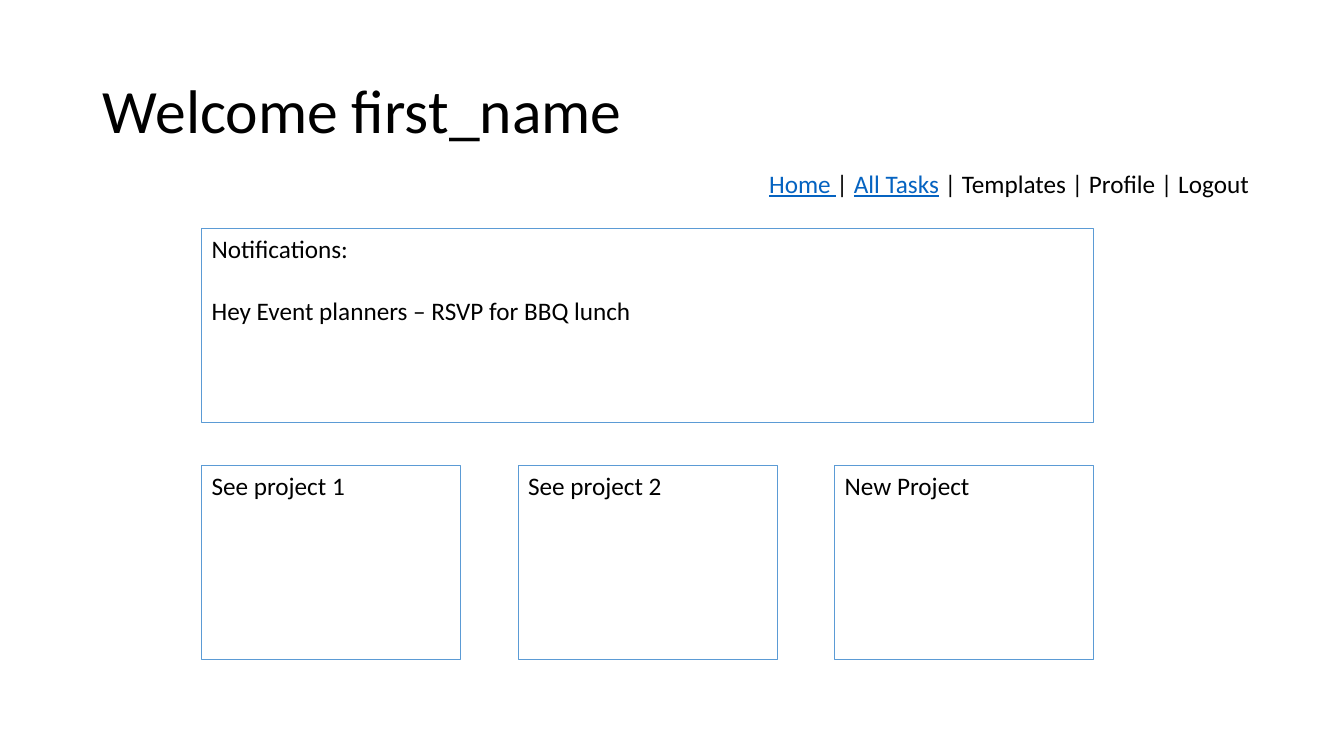
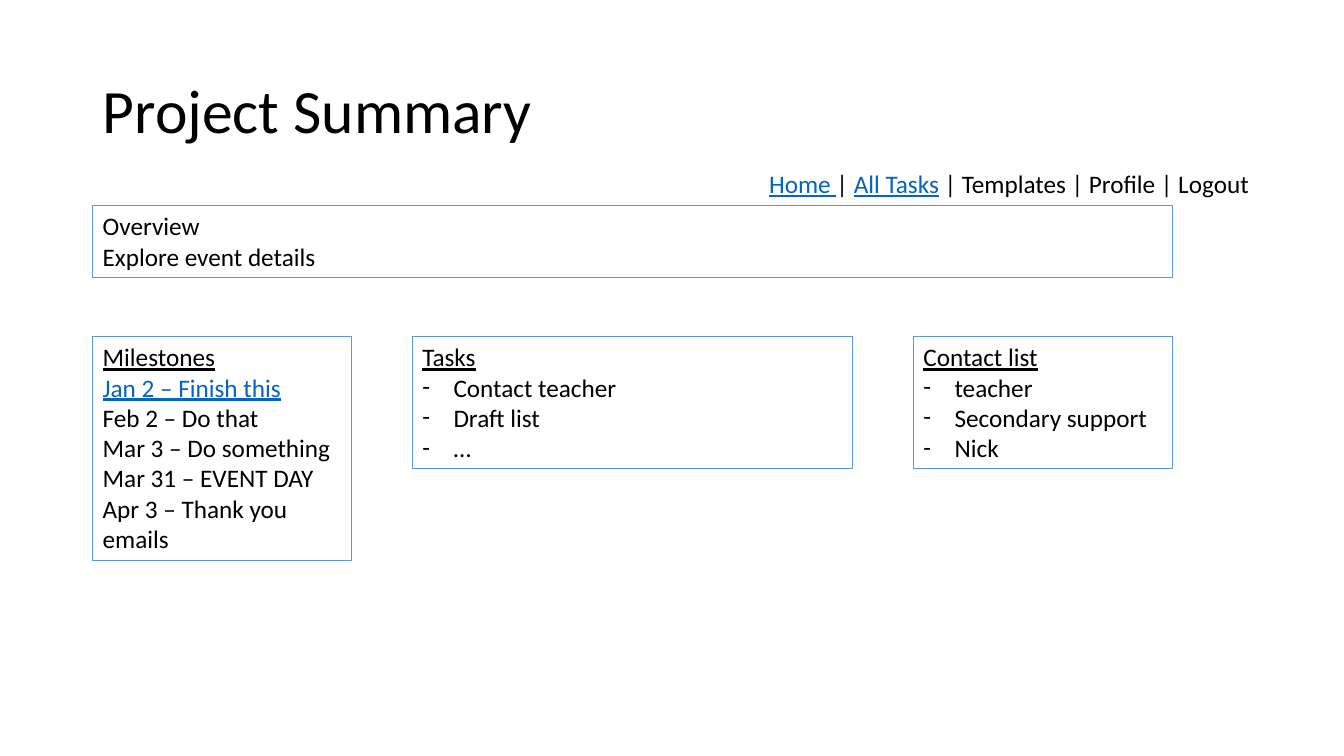
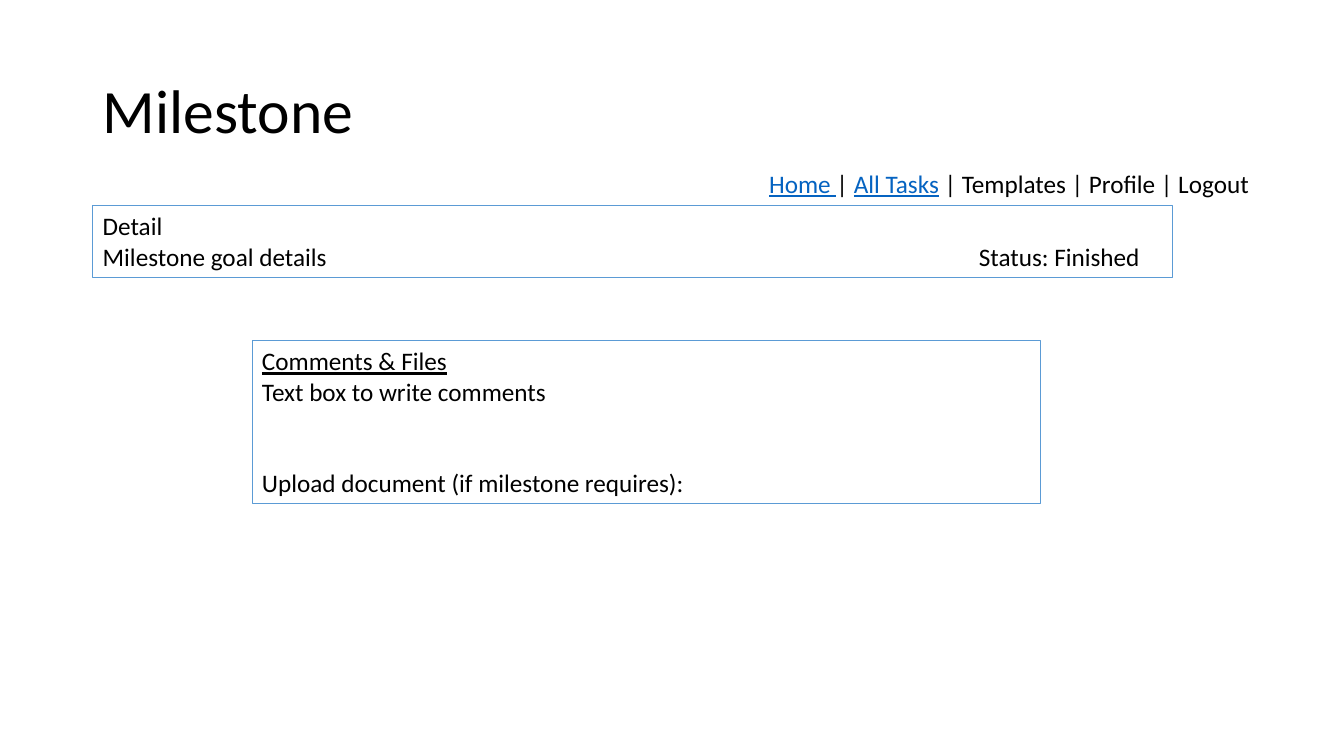
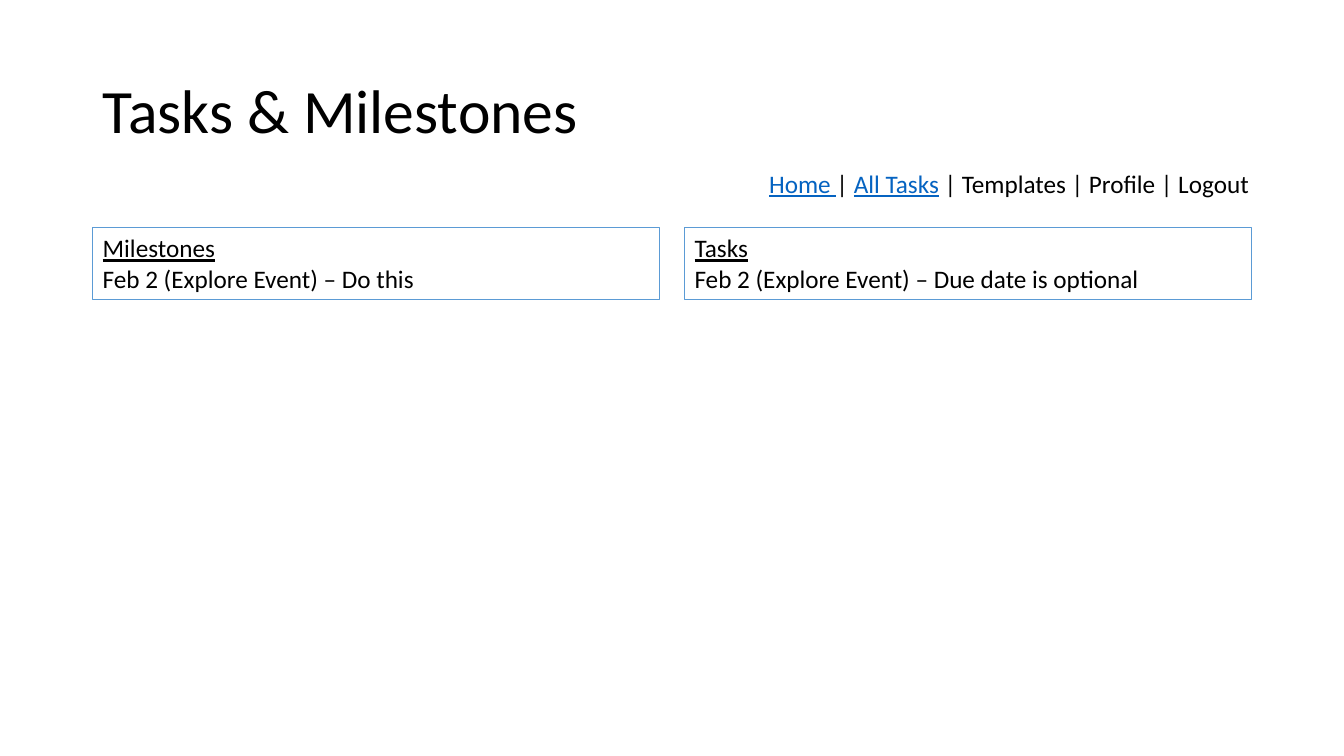
"""Build four wireframe slides for an event planning site."""
from lxml import etree
from pptx import Presentation
from pptx import util as u
from pptx.dml.color import RGBColor
from pptx.enum import shapes, text
from pptx.oxml.ns import qn

COLORS = {"text": "000000", "link": "0563C1", "border": "5B9BD5"}
FONT = "Calibri"
BODY_SIZE, TITLE_SIZE, LINE_HEIGHT = 18, 44, 22
DASH_INDENT = u.Inches(0.31)
STATUS_TAB = u.Inches(8.69)
MARGIN = 0.92

NAV = [("Home ", "link"), ("| ", "plain"), ("All Tasks", "link"),
       (" | Templates | Profile | Logout", "plain")]

# Each row is (left, top, height, gap, panels); each panel is (width, lines, options).
SLIDES = [
    {"title": "Welcome first_name", "rows": [
        {"left": 2, "top": 2.27, "gap": 0, "panels": [
            (8.85, 1.92, [("Notifications:", "plain"),
                          ("Hey Event planners – RSVP for BBQ lunch", "plain", 1)])]},
        {"left": 2, "top": 4.62, "gap": 0.57, "panels": [
            (2.57, 1.92, [(name, "plain")])
            for name in ("See project 1", "See project 2", "New Project")]},
    ]},
    {"title": "Project Summary", "rows": [
        {"left": MARGIN, "top": 2.04, "gap": 0, "panels": [
            (10.71, 0.71, [("Overview", "plain"), ("Explore event details", "plain")])]},
        {"left": MARGIN, "top": 3.34, "gap": 0.6, "panels": [
            (2.57, 2.22, [("Milestones", "head"), ("Jan 2 – Finish this", "link"),
                          ("Feb 2 – Do that", "plain"), ("Mar 3 – Do something", "plain"),
                          ("Mar 31 – EVENT DAY", "plain"),
                          ("Apr 3 – Thank you emails", "plain")]),
            (4.37, 1.31, [("Tasks", "head"), ("Contact teacher", "dash"),
                          ("Draft list", "dash"), ("…", "dash")]),
            (2.57, 1.31, [("Contact list", "head"), ("teacher", "dash"),
                          ("Secondary support", "dash"), ("Nick", "dash")])]},
    ]},
    {"title": "Milestone", "rows": [
        {"left": MARGIN, "top": 2.04, "gap": 0, "panels": [
            (10.71, 0.71, [("Detail", "plain"),
                           ("Milestone goal details\tStatus: Finished", "tabbed")])]},
        {"left": 2.5, "top": 3.38, "gap": 0, "panels": [
            (7.82, 1.62, [("Comments & Files", "head"),
                          ("Text box to write comments", "plain"),
                          ("Upload document (if milestone requires):", "plain", 2)])]},
    ]},
    {"title": "Tasks & Milestones", "rows": [
        {"left": MARGIN, "top": 2.26, "gap": 0.25, "panels": [
            (5.62, 0.71, [("Milestones", "head"),
                          ("Feb 2 (Explore Event) – Do this", "plain")]),
            (5.62, 0.71, [("Tasks", "head"),
                          ("Feb 2 (Explore Event) – Due date is optional", "plain")])]},
    ]},
]


def color(name):
    return RGBColor.from_string(COLORS[name])


def add_run(p, words, style="plain", size=BODY_SIZE):
    r = p.add_run()
    r.text = words
    r.font.name, r.font.size = FONT, u.Pt(size)
    r.font.color.rgb = color("link" if style == "link" else "text")
    if style in ("head", "link"):
        r.font.underline = True


def add_dash(p):
    pPr = p._p.get_or_add_pPr()
    pPr.set("marL", str(DASH_INDENT))
    pPr.set("indent", str(-DASH_INDENT))
    etree.SubElement(pPr, qn("a:buFont"), typeface=FONT)
    etree.SubElement(pPr, qn("a:buChar"), char="-")


def add_tab(p):
    tabs = etree.SubElement(p._p.get_or_add_pPr(), qn("a:tabLst"))
    etree.SubElement(tabs, qn("a:tab"), pos=str(STATUS_TAB), algn="l")


def add_line(p, words, style, skipped=0):
    p.alignment = text.PP_ALIGN.LEFT
    if skipped:
        p.space_before = u.Pt(skipped * LINE_HEIGHT)
    if style == "dash":
        add_dash(p)
    elif style == "tabbed":
        add_tab(p)
    add_run(p, words, style)


def add_panel(s, left, top, width, height, lines):
    sp = s.shapes.add_shape(shapes.MSO_SHAPE.RECTANGLE, *map(u.Inches, (left, top, width, height)))
    sp.shadow.inherit = False
    sp.fill.background()
    sp.line.color.rgb = color("border")
    sp.line.width = u.Pt(0.75)
    tf = sp.text_frame
    tf.word_wrap = True
    tf.vertical_anchor = text.MSO_ANCHOR.TOP
    for i, line in enumerate(lines):
        add_line(tf.add_paragraph() if i else tf.paragraphs[0], *line)


def add_row(s, left, top, gap, panels):
    for width, height, lines in panels:
        add_panel(s, left, top, width, height, lines)
        left += width + gap


def add_title(s, words):
    sp = s.shapes.title
    sp.left, sp.top, sp.width, sp.height = map(u.Inches, (MARGIN, 0.4, 11.5, 1.45))
    tf = sp.text_frame
    tf.vertical_anchor = text.MSO_ANCHOR.MIDDLE
    p = tf.paragraphs[0]
    p.alignment = text.PP_ALIGN.LEFT
    p.line_spacing = 0.9
    add_run(p, words, size=TITLE_SIZE)


def add_nav(s):
    tf = s.shapes.add_textbox(*map(u.Inches, (7.53, 1.62, 5.34, 0.4))).text_frame
    tf.word_wrap = True
    for words, style in NAV:
        add_run(tf.paragraphs[0], words, style)


def main():
    prs = Presentation()
    prs.slide_width, prs.slide_height = u.Inches(13.33), u.Inches(7.5)
    for page in SLIDES:
        s = prs.slides.add_slide(prs.slide_layouts[5])
        add_title(s, page["title"])
        for row in page["rows"]:
            add_row(s, **row)
        add_nav(s)
    prs.save("out.pptx")


if __name__ == "__main__":
    main()
